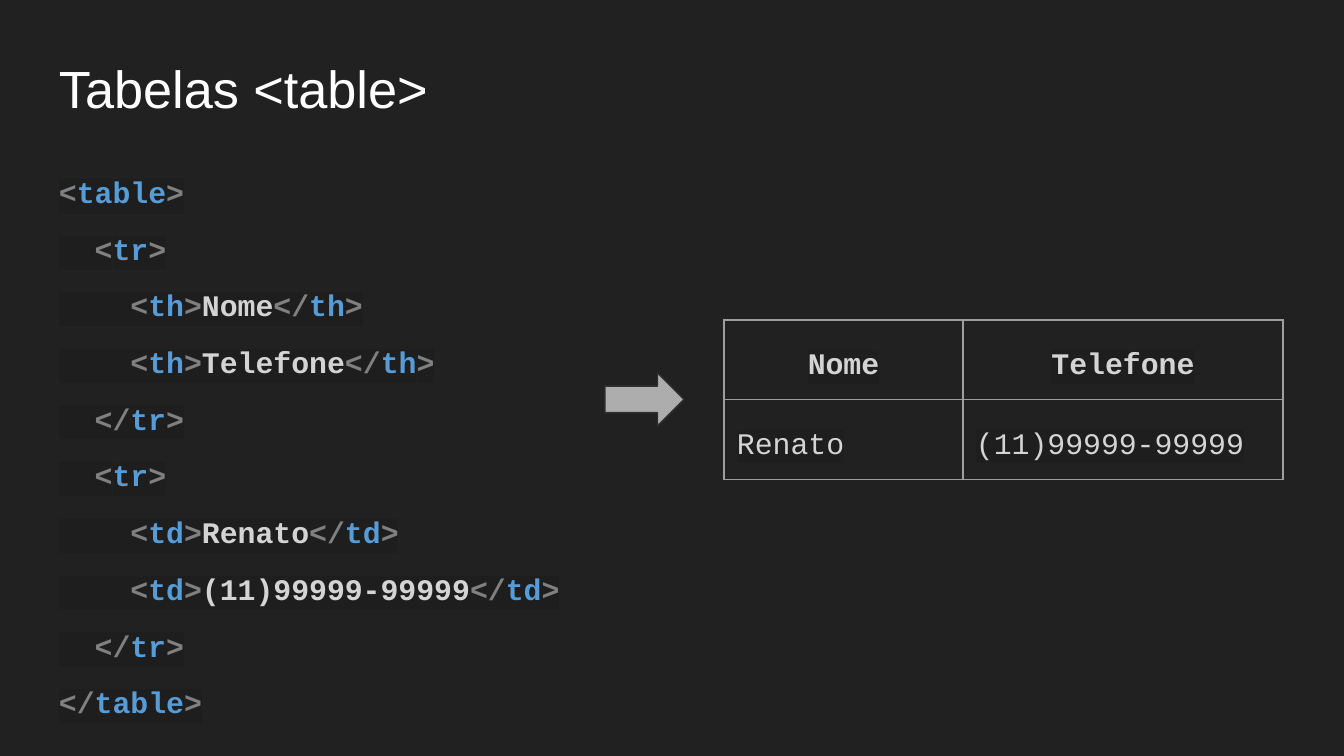
from lxml.etree import SubElement
from pptx import Presentation
from pptx.dml.color import RGBColor
from pptx.enum.shapes import MSO_SHAPE as Shape
from pptx.enum.text import PP_ALIGN as Align
from pptx.oxml.ns import qn
from pptx.util import Pt

PX = 914400 / 134.4

BACKGROUND = RGBColor(0x21, 0x21, 0x21)
WHITE = RGBColor(0xFF, 0xFF, 0xFF)
BRACKET = RGBColor(0x80, 0x80, 0x80)
TAG = RGBColor(0x56, 0x9C, 0xD6)
CONTENT = RGBColor(0xD4, 0xD4, 0xD4)
HIGHLIGHT = RGBColor(0x1E, 0x1E, 0x1E)
ARROW_FILL = RGBColor(0xAD, 0xAD, 0xAD)
ARROW_LINE = RGBColor(0x30, 0x30, 0x30)
BORDER = RGBColor(0x9E, 0x9E, 0x9E)

TITLE = "Tabelas <table>"
CODE = [
    "<table>",
    "  <tr>",
    "    <th>Nome</th>",
    "    <th>Telefone</th>",
    "  </tr>",
    "  <tr>",
    "    <td>Renato</td>",
    "    <td>(11)99999-99999</td>",
    "  </tr>",
    "</table>",
]
ROWS = [("Nome", "Telefone"), ("Renato", "(11)99999-99999")]

TITLE_AREA = (46, 43, 1252, 85)
CODE_AREA = (46, 138, 559, 603)
ARROW_AREA = (605, 373, 79, 53)
TABLE_LEFT, TABLE_TOP = 724, 320
COLUMN_WIDTHS = (239, 320)
ROW_HEIGHT = 77
INSET = 13


def px(length):
    return round(length * PX)


def set_insets(holder):
    holder.margin_left = holder.margin_right = px(INSET)
    holder.margin_top = holder.margin_bottom = px(INSET)


def add_text_frame(slide, area):
    frame = slide.shapes.add_textbox(*map(px, area)).text_frame
    frame.word_wrap = True
    set_insets(frame)
    return frame


def style_code(para, bold):
    para.line_spacing = 1.5
    para.font.name = "Courier New"
    para.font.size = Pt(16)
    para.font.bold = bold


def highlight(span):
    mark = SubElement(span.font._element, qn("a:highlight"))
    SubElement(mark, qn("a:srgbClr"), val=str(HIGHLIGHT))


def split_markup(line):
    """Yield (text, colour) for each bracket, tag name and content of a line."""
    while line:
        before, _, line = line.partition("<")
        indent = before if before.isspace() else ""
        if before and not indent:
            yield before, CONTENT
        name, _, line = line.partition(">")
        slash = "/" if name.startswith("/") else ""
        yield indent + "<" + slash, BRACKET
        yield name.removeprefix("/"), TAG
        yield ">", BRACKET


def add_code(slide):
    frame = add_text_frame(slide, CODE_AREA)
    frame.margin_top = px(18)
    for index, line in enumerate(CODE):
        para = frame.add_paragraph() if index else frame.paragraphs[0]
        style_code(para, bold=True)
        para.space_after = Pt(1.6)
        for text, color in split_markup(line):
            span = para.add_run()
            span.text = text
            span.font.color.rgb = color
            highlight(span)


def add_borders(cell):
    properties = cell._tc.get_or_add_tcPr()
    for index, side in enumerate(("lnL", "lnR", "lnT", "lnB")):
        line = SubElement(properties, qn("a:" + side), w=str(Pt(0.75)))
        fill = SubElement(line, qn("a:solidFill"))
        SubElement(fill, qn("a:srgbClr"), val=str(BORDER))
        properties.insert(index, line)


def add_result_table(slide):
    area = (TABLE_LEFT, TABLE_TOP, sum(COLUMN_WIDTHS), ROW_HEIGHT * len(ROWS))
    table = slide.shapes.add_table(
        len(ROWS), len(COLUMN_WIDTHS), *map(px, area)).table
    table.first_row = table.horz_banding = False
    for column, width in zip(table.columns, COLUMN_WIDTHS):
        column.width = px(width)
    for row_index, row in enumerate(ROWS):
        header = row_index == 0
        for column_index, text in enumerate(row):
            cell = table.cell(row_index, column_index)
            cell.fill.background()
            add_borders(cell)
            set_insets(cell)
            para = cell.text_frame.paragraphs[0]
            para.alignment = Align.CENTER if header else Align.LEFT
            style_code(para, bold=header)
            para.font.color.rgb = CONTENT
            span = para.add_run()
            span.text = text
            highlight(span)


def main():
    deck = Presentation()
    deck.slide_width, deck.slide_height = px(1344), px(756)
    slide = deck.slides.add_slide(deck.slide_layouts[6])
    slide.background.fill.solid()
    slide.background.fill.fore_color.rgb = BACKGROUND

    title = add_text_frame(slide, TITLE_AREA).paragraphs[0]
    title.text = TITLE
    title.font.name = "Arial"
    title.font.size = Pt(28)
    title.font.color.rgb = WHITE

    add_code(slide)

    arrow = slide.shapes.add_shape(Shape.RIGHT_ARROW, *map(px, ARROW_AREA))
    arrow.shadow.inherit = False
    arrow.fill.solid()
    arrow.fill.fore_color.rgb = ARROW_FILL
    arrow.line.color.rgb = ARROW_LINE
    arrow.line.width = Pt(0.75)

    add_result_table(slide)
    deck.save("out.pptx")


if __name__ == "__main__":
    main()
